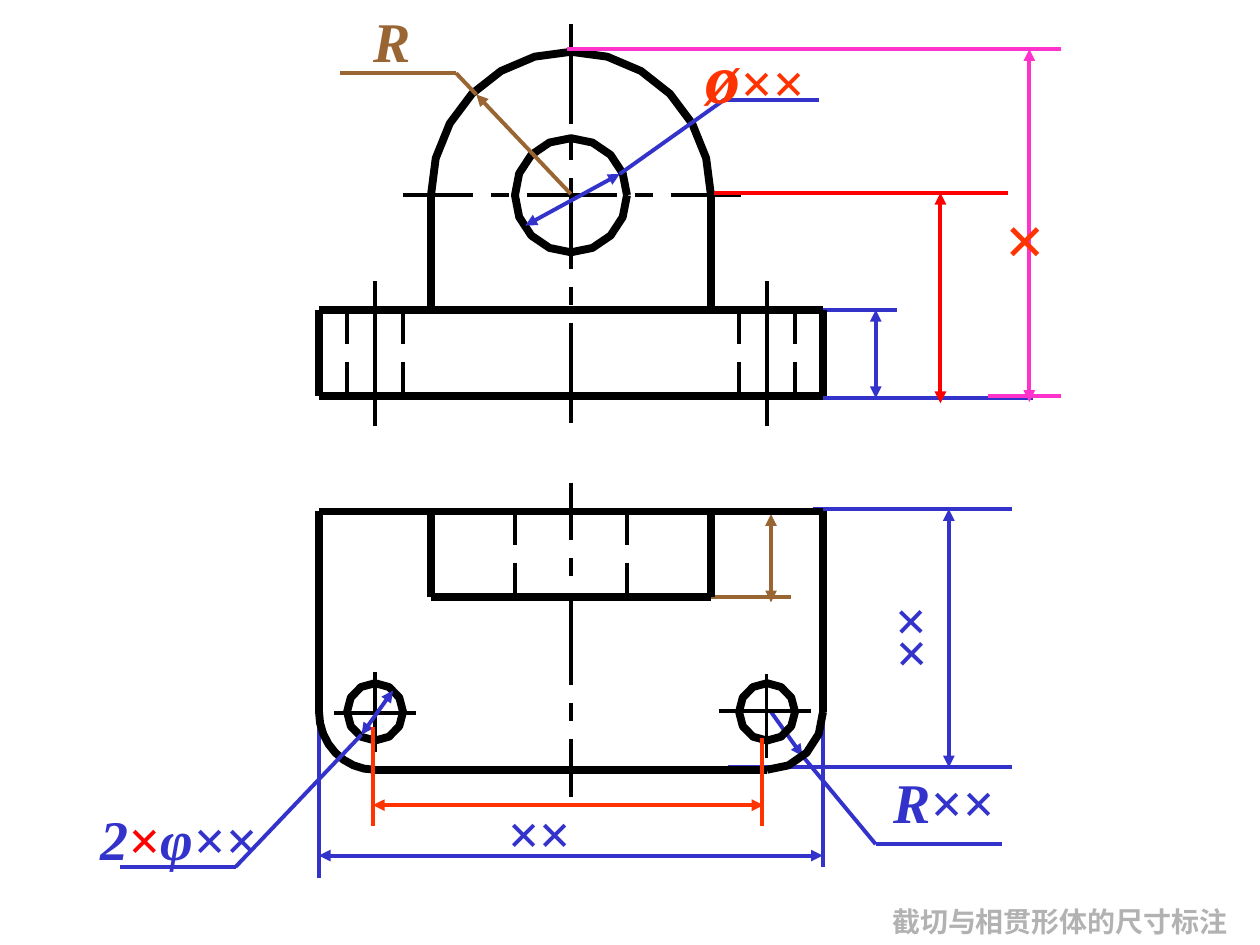
"""Draw a dimensioned two-view drawing of a bracket with a rounded lug."""
from dataclasses import dataclass
from itertools import product
from math import cos, radians, sin

from lxml import etree
from pptx import Presentation
from pptx.dml.color import RGBColor
from pptx.enum.shapes import MSO_CONNECTOR
from pptx.enum.text import MSO_ANCHOR, MSO_AUTO_SIZE, PP_ALIGN
from pptx.oxml.ns import qn
from pptx.slide import Slide
from pptx.util import Pt

STRAIGHT = MSO_CONNECTOR.STRAIGHT
LEFT, CENTER = PP_ALIGN.LEFT, PP_ALIGN.CENTER
TOP, MIDDLE = MSO_ANCHOR.TOP, MSO_ANCHOR.MIDDLE
FIT_SHAPE = MSO_AUTO_SIZE.SHAPE_TO_FIT_TEXT


@dataclass(frozen=True)
class Theme:
    font: str = "Times New Roman"
    black: str = "000000"
    blue: str = "3333CC"
    brown: str = "996633"
    orange: str = "FF3300"
    red: str = "FF0000"
    pink: str = "FF33CC"
    gray: str = "B2B2B2"
    thin: float = 2.25
    thick: float = 4.5
    caption: float = 16
    label: float = 32
    symbol: float = 40


THEME = Theme()


@dataclass(frozen=True)
class Stroke:
    x1: float
    y1: float
    x2: float
    y2: float
    color: str = THEME.black
    width: float = THEME.thin
    arrows: tuple[str, ...] = ()


@dataclass(frozen=True)
class Arc:
    x: float
    y: float
    radius_x: float
    radius_y: float
    start: float
    sweep: float
    segments: int


@dataclass(frozen=True)
class Span:
    text: str
    color: str | None = None
    size: float | None = None
    italic: bool | None = None


@dataclass(frozen=True)
class Label:
    left: float
    top: float
    width: float
    height: float
    spans: tuple[Span, ...]
    color: str = THEME.blue
    size: float = THEME.label
    italic: bool = True
    align: PP_ALIGN = CENTER
    anchor: MSO_ANCHOR = TOP
    rotation: float = 0
    wrap: bool = False


END = ("tailEnd",)
BOTH = ("headEnd", "tailEnd")
MODULE = 16
AXIS = 326.3
BASE_LEFT, BASE_RIGHT = AXIS - 9 * MODULE, AXIS + 9 * MODULE
LUG_LEFT, LUG_RIGHT = AXIS - 5 * MODULE, AXIS + 5 * MODULE
BORE_LEFT, BORE_RIGHT = AXIS - 2 * MODULE, AXIS + 2 * MODULE
HOLES = (AXIS - 7 * MODULE, AXIS + 7 * MODULE)
HOLE_EDGE = HOLES[1] + MODULE
BORE_Y, BASE_TOP, BASE_BOTTOM = 111.6, 177.1, 226.1
PLAN_TOP, LUG_FRONT, HOLE_Y, PLAN_BOTTOM = 292.3, 341.3, 406.8, 439.9
GAP = 10.3
HIDDEN = (19.4, 19.4)

REAR_DIMENSIONS = (
    Stroke(440.6, 406.8, 458.6, 432, THEME.blue, arrows=END),
    Stroke(458.6, 432, 500.4, 482.4, THEME.blue),
    Stroke(500.4, 482.4, 572.4, 482.4, THEME.blue),
    Stroke(470.2, 407.5, 470.2, 495.4, THEME.blue),
    Stroke(182.2, 401, 182.2, 501.8, THEME.blue),
    Stroke(182.2, 488.9, 470.2, 488.9, THEME.blue, arrows=BOTH),
    Stroke(416.2, 438.5, 578.2, 438.5, THEME.blue),
    Stroke(464.4, 290.9, 578.2, 290.9, THEME.blue),
    Stroke(542.2, 290.9, 542.2, 438.5, THEME.blue, arrows=BOTH),
    Stroke(458.6, 227.5, 590.4, 227.5, THEME.blue),
    Stroke(464.4, 177.1, 512.6, 177.1, THEME.blue),
    Stroke(500.4, 177.1, 500.4, 227.5, THEME.blue, arrows=BOTH),
    Stroke(404.6, 341.3, 452.2, 341.3, THEME.brown),
    Stroke(440.6, 293.8, 440.6, 344.2, THEME.brown, arrows=BOTH),
)
EDGES = (
    (LUG_LEFT, BORE_Y, LUG_LEFT, BASE_TOP),
    (LUG_RIGHT, BORE_Y, LUG_RIGHT, BASE_TOP),
    (BASE_LEFT, BASE_TOP, HOLE_EDGE, BASE_TOP),
    (HOLE_EDGE, BASE_TOP, BASE_RIGHT, BASE_TOP),
    (BASE_LEFT, BASE_BOTTOM, HOLE_EDGE, BASE_BOTTOM),
    (HOLE_EDGE, BASE_BOTTOM, BASE_RIGHT, BASE_BOTTOM),
    (BASE_LEFT, BASE_TOP, BASE_LEFT, BASE_BOTTOM),
    (BASE_RIGHT, BASE_TOP, BASE_RIGHT, BASE_BOTTOM),
    (BASE_LEFT, PLAN_TOP, BASE_RIGHT, PLAN_TOP),
    (BASE_LEFT, PLAN_TOP, BASE_LEFT, HOLE_Y),
    (BASE_RIGHT, PLAN_TOP, BASE_RIGHT, HOLE_Y),
    (HOLES[0], PLAN_BOTTOM, HOLES[1], PLAN_BOTTOM),
    (LUG_LEFT, PLAN_TOP, LUG_LEFT, LUG_FRONT),
    (LUG_RIGHT, PLAN_TOP, LUG_RIGHT, LUG_FRONT),
    (LUG_LEFT, LUG_FRONT, LUG_RIGHT, LUG_FRONT),
)
ARCS = (
    Arc(AXIS, BORE_Y, 32, 32.6, 0, 360, 16),
    Arc(AXIS, BORE_Y, 80, 82, 0, -180, 12),
    Arc(HOLES[1], HOLE_Y, 32, 33.1, 0, 90, 4),
    Arc(HOLES[0], HOLE_Y, 32, 33.1, 90, 90, 8),
    *(Arc(x, HOLE_Y, 16, 16.4, 0, 360, 12) for x in HOLES),
)
HOLE_AXES = (
    Stroke(190.8, 407.2, 238, 407.2),
    Stroke(HOLES[0], 384.2, HOLES[0], 429.8),
    Stroke(410.8, 406.5, 463.3, 406.5),
    Stroke(438, 385.2, 438, 433),
    *(Stroke(x, 160.6, x, 243.2) for x in HOLES),
)
FRONT_DIMENSIONS = (
    Stroke(68.4, 495.4, 134.6, 495.4, THEME.blue),
    Stroke(224.6, 394.6, 206.6, 419.8, THEME.blue, arrows=BOTH),
    Stroke(206.6, 419.8, 134.6, 495.4, THEME.blue),
    Stroke(326.2, 110.9, 272.2, 54, THEME.brown, arrows=END),
    Stroke(260.6, 41.8, 194.4, 41.8, THEME.brown),
    Stroke(272.2, 54, 260.6, 41.8, THEME.brown),
    Stroke(213.1, 415.4, 213.1, 472.3, THEME.orange),
    Stroke(435.6, 421.9, 435.6, 472.3, THEME.orange),
    Stroke(213.1, 460.1, 436.3, 460.1, THEME.orange, arrows=BOTH),
    Stroke(408.2, 110.2, 576, 110.2, THEME.red),
    Stroke(537.4, 230.4, 537.4, 110.2, THEME.red, arrows=BOTH),
    Stroke(324, 28.1, 606.2, 28.1, THEME.pink),
    Stroke(564.5, 226.1, 606.2, 226.1, THEME.pink),
    Stroke(588.2, 28.1, 588.2, 229.7, THEME.pink, arrows=BOTH),
    Stroke(300.2, 128.9, 354.2, 99.4, THEME.blue, arrows=BOTH),
    Stroke(354.2, 99.4, 414, 56.9, THEME.blue),
    Stroke(414, 56.9, 468, 56.9, THEME.blue),
)
LABELS = (
    Label(499, 434.9, 81, 46, (Span("R××"),)),
    Label(278, 452.9, 60, 46, (Span("××"),)),
    Label(488.8, 342, 60, 46, (Span("××"),), rotation=268.8),
    Label(50.4, 456, 103.7, 46,
          (Span("2"), Span("×", THEME.red, italic=False), Span("φ××"))),
    Label(204, 0, 40, 46, (Span("R"),), THEME.brown),
    Label(565, 108, 41, 55.4, (Span("×"),), THEME.orange, THEME.symbol, anchor=MIDDLE),
    Label(502.8, 513.4, 205.9, 26.6, (Span("截切与相贯形体的尺寸标注"),),
          THEME.gray, THEME.caption, italic=False, align=LEFT),
    Label(396, 15.4, 99.4, 55.4, (Span("ø"), Span("××", size=THEME.label)),
          THEME.orange, THEME.symbol, align=LEFT, wrap=True),
)


def draw_stroke(slide: Slide, stroke: Stroke) -> None:
    """Draw one straight line with its arrowheads."""
    ends = (Pt(value) for value in (stroke.x1, stroke.y1, stroke.x2, stroke.y2))
    connector = slide.shapes.add_connector(STRAIGHT, *ends)
    connector.line.color.rgb = RGBColor.from_string(stroke.color)
    connector.line.width = Pt(stroke.width)
    outline = connector.line._get_or_add_ln()
    for arrow in stroke.arrows:
        etree.SubElement(outline, qn(f"a:{arrow}"), type="triangle")
    etree.SubElement(connector._element.spPr, qn("a:effectLst"))


def draw_dashes(slide: Slide, x: float, y: float, lengths: tuple[float, ...],
                vertical: bool = True) -> None:
    """Draw a row of dashes with equal gaps."""
    for length in lengths:
        end_x, end_y = (x, y + length) if vertical else (x + length, y)
        draw_stroke(slide, Stroke(x, y, end_x, end_y))
        x, y = (x, end_y + GAP) if vertical else (end_x + GAP, y)


def draw_arc(slide: Slide, arc: Arc) -> None:
    """Draw a thick elliptical arc made of equal chords."""
    angles = [radians(arc.start + arc.sweep * step / arc.segments)
              for step in range(arc.segments + 1)]
    points = [(Pt(arc.x + arc.radius_x * cos(angle)), Pt(arc.y + arc.radius_y * sin(angle)))
              for angle in angles]
    builder = slide.shapes.build_freeform(*points[0])
    builder.add_line_segments(points[1:], close=False)
    shape = builder.convert_to_shape()
    shape.shadow.inherit = False
    shape.fill.background()
    shape.line.color.rgb = RGBColor.from_string(THEME.black)
    shape.line.width = Pt(THEME.thick)


def draw_label(slide: Slide, label: Label) -> None:
    """Draw one text label."""
    bounds = (Pt(value) for value in (label.left, label.top, label.width, label.height))
    box = slide.shapes.add_textbox(*bounds)
    box.rotation = label.rotation
    frame = box.text_frame
    frame.word_wrap = label.wrap
    frame.auto_size = FIT_SHAPE
    frame.vertical_anchor = label.anchor
    paragraph = frame.paragraphs[0]
    paragraph.alignment = label.align
    paragraph.font.name = THEME.font
    paragraph.font.bold = True
    paragraph.font.italic = label.italic
    paragraph.font.size = Pt(label.size)
    paragraph.font.color.rgb = RGBColor.from_string(label.color)
    for span in label.spans:
        run = paragraph.add_run()
        run.text = span.text
        if span.color:
            run.font.color.rgb = RGBColor.from_string(span.color)
        if span.size:
            run.font.size = Pt(span.size)
        if span.italic is not None:
            run.font.italic = span.italic


def main() -> None:
    """Build and save the slide."""
    presentation = Presentation()
    presentation.slide_width, presentation.slide_height = Pt(720), Pt(540)
    slide = presentation.slides.add_slide(presentation.slide_layouts[6])
    for stroke in REAR_DIMENSIONS:
        draw_stroke(slide, stroke)
    for arc in ARCS:
        draw_arc(slide, arc)
    for edge in EDGES:
        draw_stroke(slide, Stroke(*edge, width=THEME.thick))
    for stroke in HOLE_AXES:
        draw_stroke(slide, stroke)
    draw_dashes(slide, AXIS, 13.5, (57.4, GAP, 51.8, GAP, 57.4))
    draw_dashes(slide, AXIS, 275.8, (33, GAP, 51.8, GAP, 33))
    draw_dashes(slide, 230.4, BORE_Y, (40, GAP, 51, GAP, 40), vertical=False)
    for hole, side in product(HOLES, (-MODULE, MODULE)):
        draw_dashes(slide, hole + side, BASE_TOP, HIDDEN)
    for x in (BORE_LEFT, BORE_RIGHT):
        draw_dashes(slide, x, PLAN_TOP, HIDDEN)
    for stroke in FRONT_DIMENSIONS:
        draw_stroke(slide, stroke)
    for label in LABELS:
        draw_label(slide, label)
    presentation.save("out.pptx")


if __name__ == "__main__":
    main()
